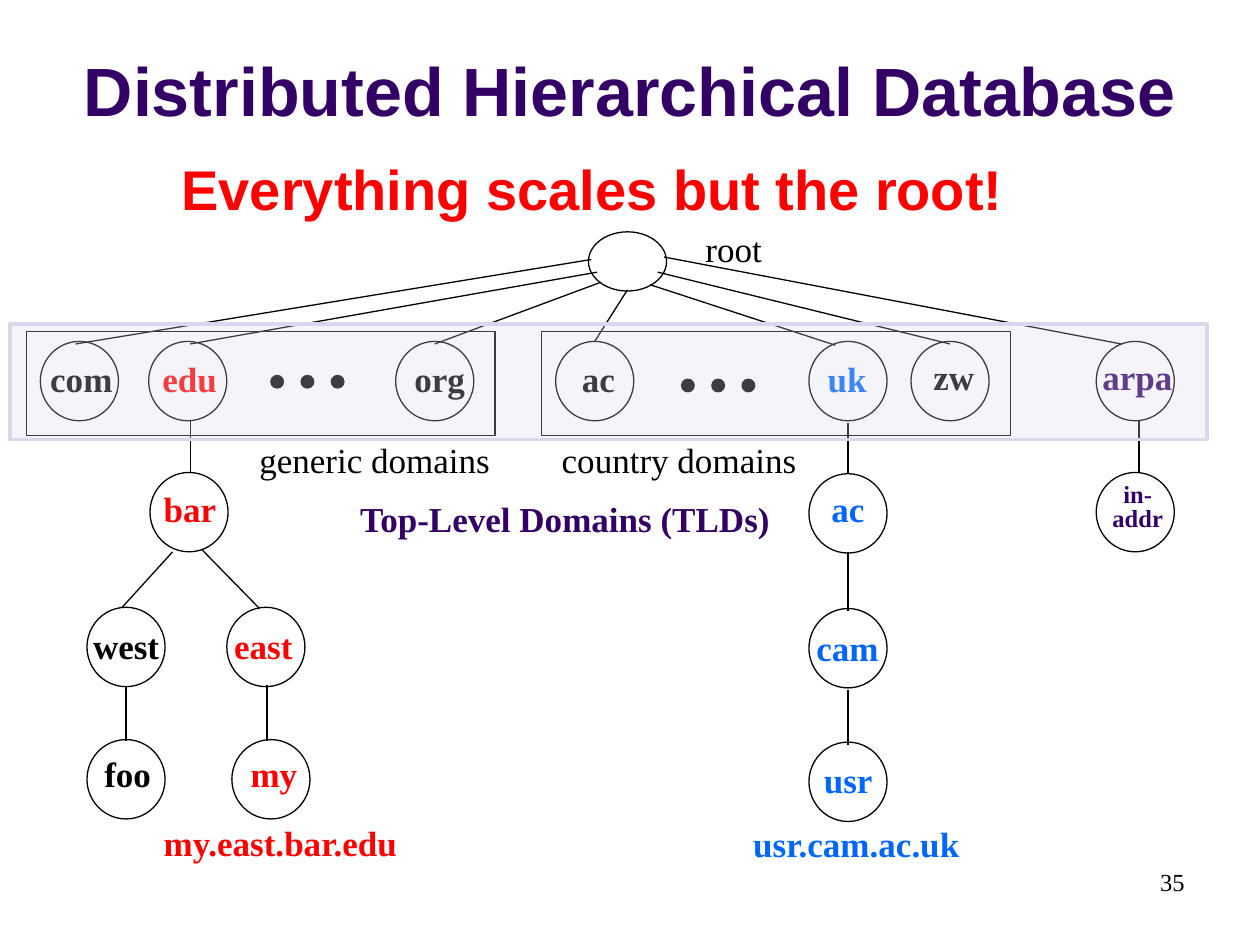
from lxml import etree
from pptx import Presentation
from pptx.dml.color import RGBColor
from pptx.enum.shapes import MSO_CONNECTOR, MSO_SHAPE
from pptx.enum.text import MSO_ANCHOR, MSO_AUTO_SIZE, PP_ALIGN
from pptx.oxml.ns import qn
from pptx.util import Inches, Pt

BLACK = RGBColor(0x00, 0x00, 0x00)
RED = RGBColor(0xFF, 0x00, 0x00)
BLUE = RGBColor(0x00, 0x66, 0xFF)
PURPLE = RGBColor(0x33, 0x00, 0x66)
LAVENDER = RGBColor(0xD8, 0xD8, 0xEC)

STRAIGHT = MSO_CONNECTOR.STRAIGHT
OVAL, RECTANGLE = MSO_SHAPE.OVAL, MSO_SHAPE.RECTANGLE
LEFT, CENTER, RIGHT = PP_ALIGN.LEFT, PP_ALIGN.CENTER, PP_ALIGN.RIGHT
TOP, MIDDLE, BOTTOM = MSO_ANCHOR.TOP, MSO_ANCHOR.MIDDLE, MSO_ANCHOR.BOTTOM
FIT_SHAPE = MSO_AUTO_SIZE.SHAPE_TO_FIT_TEXT

SERIF = "Times New Roman"
NODE_SIZE = (0.62, 0.63)
LABEL_HEIGHT = 0.43
TLD_TOP = 2.71

# Domain name, colour, circle (left, top), label (left, top, width)
NODES = [
    ("com", BLACK, (0.32, TLD_TOP), (0.3, 2.79, 0.72)),
    ("edu", RED, (1.18, TLD_TOP), (1.19, 2.79, 0.63)),
    ("org", BLACK, (3.14, TLD_TOP), (3.19, 2.79, 0.6)),
    ("ac", BLACK, (4.41, TLD_TOP), (4.52, 2.79, 0.46)),
    ("uk", BLUE, (6.42, TLD_TOP), (6.47, 2.79, 0.51)),
    ("zw", BLACK, (7.23, TLD_TOP), (7.31, 2.77, 0.53)),
    ("arpa", PURPLE, (8.7, TLD_TOP), (8.65, 2.77, 0.76)),
    ("bar", RED, (1.19, 3.75), (1.2, 3.82, 0.62)),
    ("west", BLACK, (0.69, 4.82), (0.64, 4.91, 0.73)),
    ("east", RED, (1.8, 4.82), (1.76, 4.91, 0.69)),
    ("foo", BLACK, (0.69, 5.87), (0.73, 5.92, 0.57)),
    ("my", RED, (1.84, 5.87), (1.89, 5.92, 0.57)),
    ("ac", BLUE, (6.42, 3.76), (6.5, 3.82, 0.46)),
    ("cam", BLUE, (6.42, 4.83), (6.38, 4.92, 0.72)),
    ("usr", BLUE, (6.42, 5.89), (6.44, 5.97, 0.59)),
]

# Parent end and child end of each branch
BRANCHES = [
    # root to top-level domains
    (4.69, 2.06, 0.6, 2.73), (4.74, 2.16, 1.51, 2.73),
    (4.77, 2.24, 3.45, 2.73), (4.98, 2.3, 4.72, 2.71),
    (5.27, 2.04, 8.9, 2.73), (5.22, 2.16, 7.54, 2.73),
    (5.16, 2.26, 6.63, 2.74),
    # below edu
    (1.51, 3.34, 1.51, 3.75), (1.37, 4.38, 0.97, 4.82),
    (1.6, 4.36, 2.06, 4.83), (1, 5.45, 1, 5.88), (2.12, 5.44, 2.12, 5.88),
    # below uk
    (6.73, 3.36, 6.73, 3.76), (6.73, 4.38, 6.73, 4.85),
    (6.73, 5.48, 6.73, 5.91),
    # below arpa
    (9.04, 3.33, 9.04, 3.75),
]

# Plain captions: text, colour, bold, box
CAPTIONS = [
    ("root", BLACK, False, (5.5, 1.76, 0.65, 0.44)),
    ("generic domains", BLACK, False, (1.96, 3.43, 2.03, LABEL_HEIGHT)),
    ("country domains", BLACK, False, (4.36, 3.43, 2.06, LABEL_HEIGHT)),
    ("my.east.bar.edu", RED, True, (1.2, 6.47, 2.09, LABEL_HEIGHT)),
    ("usr.cam.ac.uk", BLUE, True, (5.88, 6.48, 1.86, LABEL_HEIGHT)),
]


def add_text(slide, text, box, color, size=20, bold=True, font_name=SERIF,
             align=LEFT, anchor=TOP, wrap=False, fit=True, spacing=None):
    frame = slide.shapes.add_textbox(*map(Inches, box)).text_frame
    frame.text = text
    frame.word_wrap = wrap
    frame.vertical_anchor = anchor
    if fit:
        frame.auto_size = FIT_SHAPE
    font_format = {"name": font_name, "size": Pt(size), "bold": bold}
    for paragraph in frame.paragraphs:
        paragraph.alignment = align
        paragraph.line_spacing = spacing
        font = paragraph.runs[0].font
        for attribute, value in font_format.items():
            setattr(font, attribute, value)
        font.color.rgb = color


def add_outline(shapes, kind, box, fill=None, line=BLACK, weight=0.75):
    shape = shapes.add_shape(kind, *map(Inches, box))
    shape.shadow.inherit = False
    if fill is None:
        shape.fill.background()
    else:
        shape.fill.solid()
        shape.fill.fore_color.rgb = fill
    shape.line.color.rgb = line
    shape.line.width = Pt(weight)
    return shape


def add_node(slide, name, color, circle, label):
    add_outline(slide.shapes, OVAL, (*circle, *NODE_SIZE))
    add_text(slide, name, (*label, LABEL_HEIGHT), color)


def add_dots(slide, left, top):
    group = slide.shapes.add_group_shape()
    for i in range(3):
        add_outline(group.shapes, OVAL, (left + 0.24 * i, top, 0.1, 0.1), BLACK)


def add_branch(slide, ends):
    branch = slide.shapes.add_connector(STRAIGHT, *map(Inches, ends))
    branch.line.color.rgb = BLACK
    branch.line.width = Pt(0.75)
    etree.SubElement(branch._element.spPr, qn("a:effectLst"))


def add_tld_band(slide):
    band = add_outline(slide.shapes, RECTANGLE, (0.08, 2.57, 9.5, 0.92),
                       LAVENDER, LAVENDER, 2)
    color = band._element.spPr.find(qn("a:solidFill")).find(qn("a:srgbClr"))
    etree.SubElement(color, qn("a:alpha"), val="28000")


def main():
    prs = Presentation()
    prs.slide_width, prs.slide_height = Inches(10), Inches(7.5)
    slide = prs.slides.add_slide(prs.slide_layouts[6])

    # Title and slide number
    add_text(slide, "Distributed Hierarchical Database", (0, 0.13, 10, 0.95),
             PURPLE, 39, font_name="Arial", align=CENTER, anchor=BOTTOM,
             wrap=True, fit=False)
    add_text(slide, "35", (7.17, 6.83, 2.33, 0.5), BLACK, 14, bold=False,
             align=RIGHT, wrap=True, fit=False)

    # Domain tree
    for node in NODES:
        add_node(slide, *node)
    add_outline(slide.shapes, OVAL, (8.7, 3.75, *NODE_SIZE))
    add_text(slide, "in-\naddr", (8.73, 3.8, 0.6, 0.47), PURPLE, 14,
             align=CENTER, spacing=0.8)
    add_outline(slide.shapes, OVAL, (4.67, 1.84, 0.62, 0.47))
    for ends in BRANCHES:
        add_branch(slide, ends)

    # Generic and country groups
    for frame_left, dots_left, dots_top in ((0.21, 2.15, 2.98),
                                            (4.3, 5.41, 3.01)):
        add_dots(slide, dots_left, dots_top)
        add_outline(slide.shapes, RECTANGLE, (frame_left, 2.63, 3.72, 0.83))

    # Captions
    for text, color, bold, box in CAPTIONS:
        add_text(slide, text, box, color, bold=bold)

    # Translucent band over the top-level domains, and the messages
    add_tld_band(slide)
    add_text(slide, "Top-Level Domains (TLDs)", (2.75, 3.9, 3.47, LABEL_HEIGHT),
             PURPLE, align=CENTER, anchor=MIDDLE)
    add_text(slide, "Everything scales but the root!", (0.59, 1.18, 8.23, 0.64),
             RED, 32, font_name="Arial", align=CENTER, wrap=True)

    prs.save("out.pptx")


if __name__ == "__main__":
    main()
